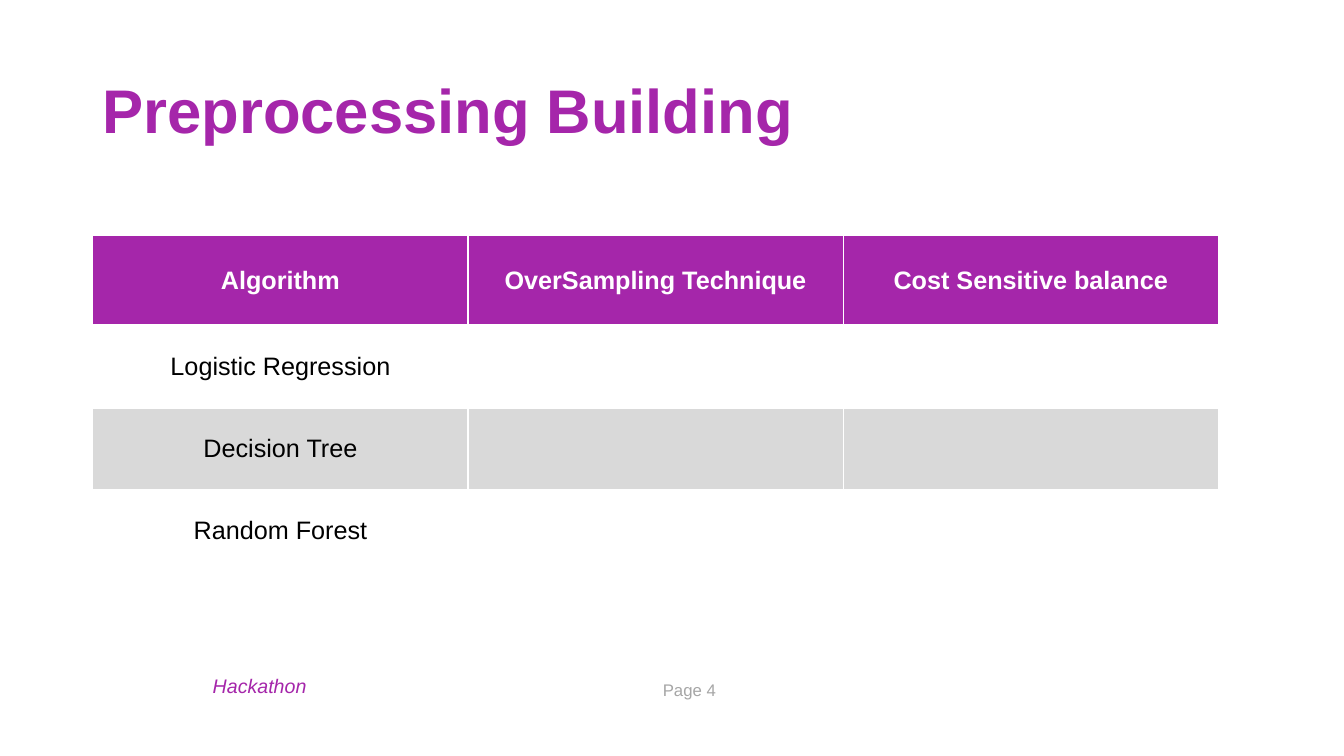
from pptx import Presentation
from pptx.dml.color import RGBColor
from pptx.enum.text import MSO_ANCHOR as Anchor, PP_ALIGN as Align
from pptx.oxml import parse_xml
from pptx.oxml.ns import nsdecls
from pptx.util import Pt

COLORS = {"purple": "A526AA", "band": "D9D9D9", "muted": "A6A6A6",
          "white": "FFFFFF", "black": "000000"}
FONT = "Arial"


def rgb(color):
    return RGBColor.from_string(COLORS[color])


def write(frame, text, size=18, color="black", bold=False, italic=False,
          align=Align.CENTER, spacing=None):
    """Put one formatted paragraph into a text frame."""
    line = frame.paragraphs[0]
    line.alignment = align
    if spacing:
        line.line_spacing = spacing
    run = line.add_run()
    run.text = text
    font = run.font
    font.name, font.size, font.bold, font.italic = FONT, Pt(size), bold, italic
    font.color.rgb = rgb(color)


class SlideBuilder:
    def __init__(self, deck):
        self.slide = deck.slides.add_slide(deck.slide_layouts[6])

    def text(self, text, left, top, width, height, anchor=Anchor.TOP, **style):
        box = self.slide.shapes.add_textbox(Pt(left), Pt(top), Pt(width), Pt(height))
        frame = box.text_frame
        frame.word_wrap = True
        frame.vertical_anchor = anchor
        write(frame, text, **style)

    def table(self, rows, left, top, column_width, heights):
        columns = len(rows[0])
        table = self.slide.shapes.add_table(
            len(rows), columns, Pt(left), Pt(top),
            Pt(column_width * columns), Pt(sum(heights))).table
        for column in table.columns:
            column.width = Pt(column_width)
        for r, (row, height) in enumerate(zip(rows, heights)):
            table.rows[r].height = Pt(height)
            header = r == 0
            fill = "purple" if header else "white" if r % 2 else "band"
            for c, text in enumerate(row):
                cell = table.cell(r, c)
                cell.vertical_anchor = Anchor.MIDDLE
                self.borders(cell, top=3 if r == 1 else 1, bottom=3 if header else 1)
                cell.fill.solid()
                cell.fill.fore_color.rgb = rgb(fill)
                if text:
                    write(cell.text_frame, text, bold=header,
                          color="white" if header else "black")

    def borders(self, cell, top, bottom):
        properties = cell._tc.get_or_add_tcPr()
        for side, width in (("L", 1), ("R", 1), ("T", top), ("B", bottom)):
            properties.append(parse_xml(
                f'<a:ln{side} {nsdecls("a")} w="{Pt(width)}"><a:solidFill>'
                f'<a:srgbClr val="{COLORS["white"]}"/></a:solidFill></a:ln{side}>'))


def main():
    deck = Presentation()
    deck.slide_width, deck.slide_height = Pt(960), Pt(540)
    page = SlideBuilder(deck)

    # Title
    page.text("Preprocessing Building", 66, 28.75, 828, 104.4, Anchor.MIDDLE,
              size=44, color="purple", bold=True, align=Align.LEFT, spacing=0.9)

    # Algorithms against balancing methods
    algorithms = ["Logistic Regression", "Decision Tree", "Random Forest"]
    rows = [["Algorithm", "OverSampling Technique", "Cost Sensitive balance"]]
    rows += [[name, "", ""] for name in algorithms]
    page.table(rows, 66.3, 167.8, 268, [65.2] + [58.4] * len(algorithms))

    # Footer
    page.text("Page 4", 442.5, 481.7, 100, 21.8, size=12, color="muted")
    page.text("Hackathon", 59.8, 478, 251.3, 24.2, size=14, color="purple", italic=True)

    deck.save("out.pptx")


if __name__ == "__main__":
    main()
